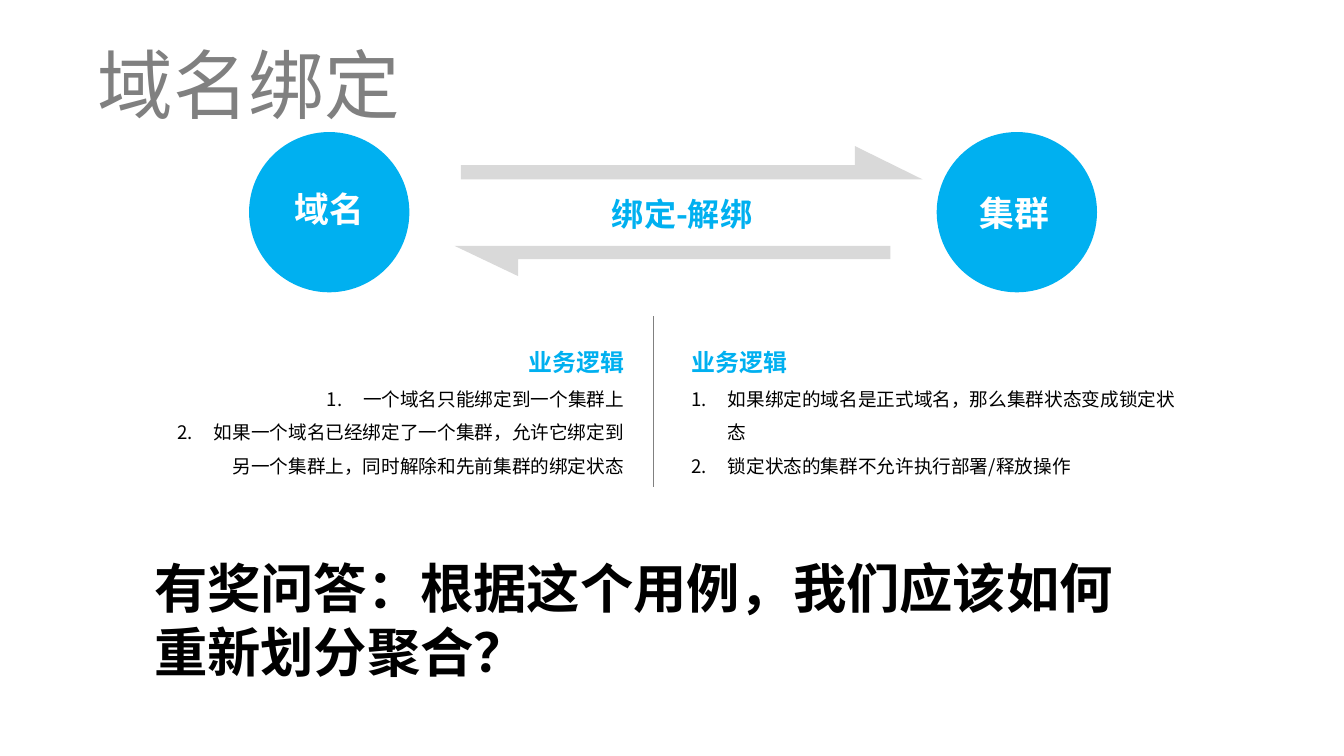
from lxml import etree
from pptx import Presentation
from pptx.dml.color import RGBColor
from pptx.enum.shapes import MSO_CONNECTOR, MSO_SHAPE
from pptx.enum.text import MSO_ANCHOR, PP_ALIGN
from pptx.oxml.ns import qn
from pptx.util import Inches, Pt

LEFT, CENTER, RIGHT = PP_ALIGN.LEFT, PP_ALIGN.CENTER, PP_ALIGN.RIGHT
TOP, MIDDLE, BOTTOM = MSO_ANCHOR.TOP, MSO_ANCHOR.MIDDLE, MSO_ANCHOR.BOTTOM
BLUE, GREY, PALE, BLACK, WHITE = "00B0F0", "808080", "D9D9D9", "000000", "FFFFFF"
SANS, SERIF, NARROW = "Noto Sans CJK SC", "TeX Gyre Bonum", "Arial Narrow"

# text, box, size, font, colour, bold, alignment, anchor
LABELS = [
    ("域名绑定", (0.87, -0.05, 11, 1.76), 54, NARROW, GREY, False, LEFT, MIDDLE),
    ("集群", (9.35, 1.85, 1.43, 0.52), 24.8, SANS, WHITE, True, CENTER, TOP),
    ("域名", (2.78, 1.81, 0.98, 0.52), 24.8, SANS, WHITE, True, CENTER, TOP),
    ("绑定-解绑", (4.7, 1.88, 4.13, 0.49), 22.9, SANS, BLUE, True, CENTER, TOP),
    ("有奖问答：根据这个用例，我们应该如何重新划分聚合？", (1.43, 5.46, 10.19, 1.38),
     38.1, SERIF, BLACK, True, LEFT, TOP),
]
LOGIC_HEADING = "业务逻辑"
LOGIC = [
    ((1.53, 3.28, 4.76, 1.5), RIGHT,
     ["一个域名只能绑定到一个集群上",
      "如果一个域名已经绑定了一个集群，允许它绑定到另一个集群上，同时解除和先前集群的绑定状态"]),
    ((6.76, 3.28, 5.11, 1.5), LEFT,
     ["如果绑定的域名是正式域名，那么集群状态变成锁定状态",
      "锁定状态的集群不允许执行部署/释放操作"]),
]
CIRCLE_LEFTS, CIRCLE_TOP, CIRCLE_SIZE = (2.47, 9.29), 1.31, 1.59
# tail x, head base x, tip x, straight edge y, shaft edge y, barb y
ARROWS = [(4.57, 8.48, 9.15, 1.78, 1.64, 1.45),
          (8.83, 5.14, 4.51, 2.44, 2.57, 2.74)]
DIVIDER_X, DIVIDER_TOP, DIVIDER_BOTTOM = 6.48, 3.14, 4.83
INDENT = 0.36


def rgb(value):
    return RGBColor.from_string(value)


def paint(shape, colour):
    shape.shadow.inherit = False
    shape.fill.solid()
    shape.fill.fore_color.rgb = rgb(colour)
    shape.line.fill.background()


def style(paragraph, size, font, colour, bold, align):
    paragraph.alignment = align
    for run in paragraph.runs:
        run.font.size = Pt(size)
        run.font.name = font
        run.font.bold = bold
        run.font.color.rgb = rgb(colour)
        east_asian = etree.Element(qn("a:ea"), typeface=font)
        run.font._element.find(qn("a:latin")).addnext(east_asian)


def number(paragraph):
    props = paragraph._p.get_or_add_pPr()
    props.set("marL", str(Inches(INDENT)))
    props.set("indent", str(-Inches(INDENT)))
    etree.SubElement(props, qn("a:buFont"), typeface="+mj-lt")
    etree.SubElement(props, qn("a:buAutoNum"), type="arabicPeriod")


def text_frame(slide, box, anchor):
    frame = slide.shapes.add_textbox(*map(Inches, box)).text_frame
    frame.word_wrap = True
    frame.vertical_anchor = anchor
    return frame


def add_label(slide, text, box, size, font, colour, bold, align, anchor):
    frame = text_frame(slide, box, anchor)
    frame.text = text
    style(frame.paragraphs[0], size, font, colour, bold, align)


def add_logic(slide, box, align, rules):
    frame = text_frame(slide, box, BOTTOM)
    frame.text = "\n".join([LOGIC_HEADING, *rules])
    heading, *items = frame.paragraphs
    style(heading, 17.1, SANS, BLUE, True, align)
    for item in items:
        number(item)
        style(item, 13.3, SANS, BLACK, False, align)
    for paragraph in frame.paragraphs:
        paragraph.line_spacing = 1.5


def add_half_arrow(slide, tail, base, tip, edge, shaft, barb):
    outline = [(tail, shaft), (tail, edge), (tip, edge), (base, barb), (base, shaft)]
    points = [(Inches(x), Inches(y)) for x, y in outline]
    builder = slide.shapes.build_freeform(*points[0])
    builder.add_line_segments(points[1:], close=True)
    paint(builder.convert_to_shape(), PALE)


def add_divider(slide):
    x = Inches(DIVIDER_X)
    divider = slide.shapes.add_connector(
        MSO_CONNECTOR.STRAIGHT, x, Inches(DIVIDER_TOP), x, Inches(DIVIDER_BOTTOM))
    divider.line.color.rgb = rgb(GREY)
    divider.line.width = Pt(0.5)
    etree.SubElement(divider._element.spPr, qn("a:effectLst"))


def main():
    deck = Presentation()
    deck.slide_width, deck.slide_height = Inches(13.33), Inches(7.5)
    slide = deck.slides.add_slide(deck.slide_layouts[6])
    for left in CIRCLE_LEFTS:
        box = (left, CIRCLE_TOP, CIRCLE_SIZE, CIRCLE_SIZE)
        paint(slide.shapes.add_shape(MSO_SHAPE.OVAL, *map(Inches, box)), BLUE)
    for arrow in ARROWS:
        add_half_arrow(slide, *arrow)
    for label in LABELS:
        add_label(slide, *label)
    for logic in LOGIC:
        add_logic(slide, *logic)
    add_divider(slide)
    deck.save("out.pptx")


if __name__ == "__main__":
    main()
